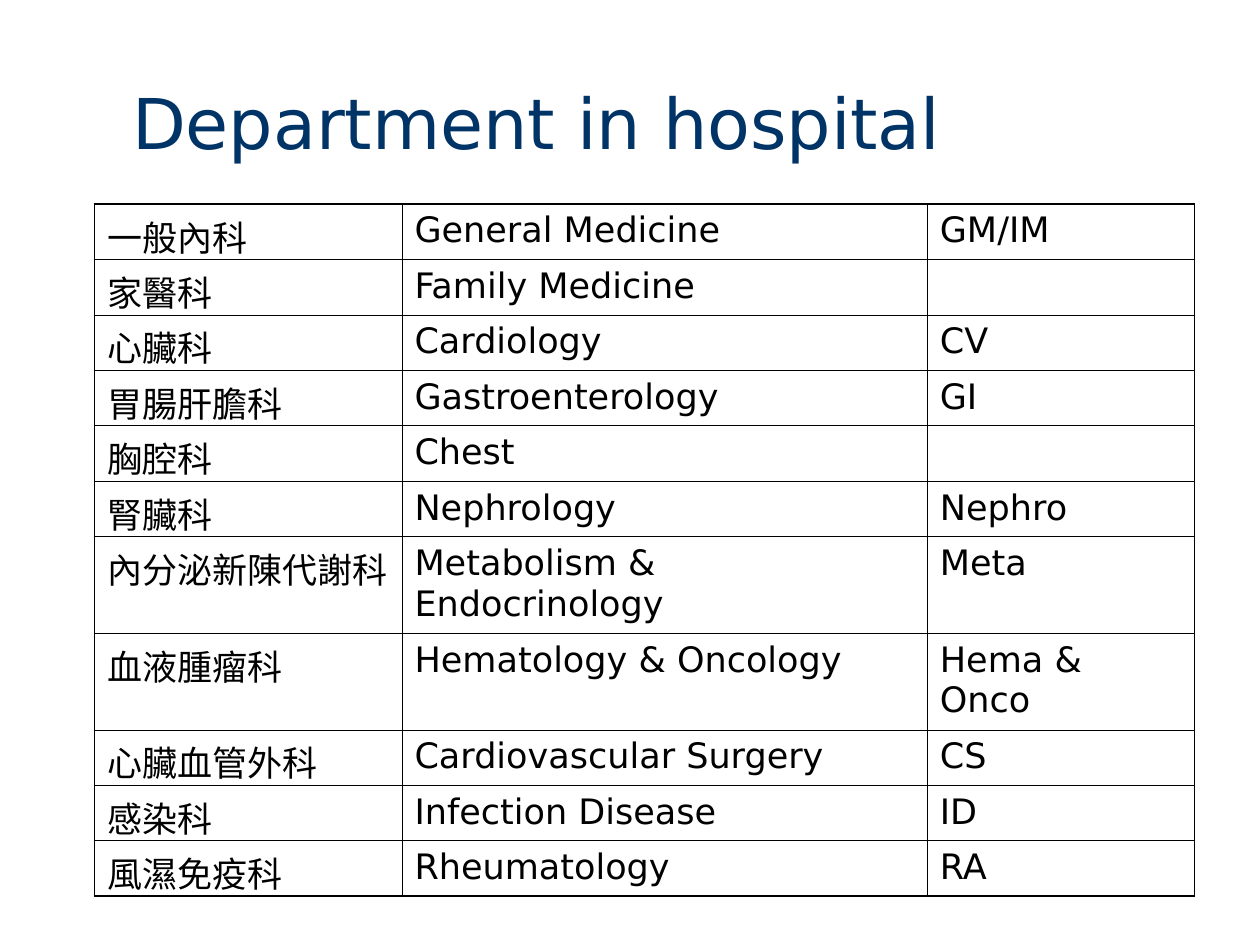
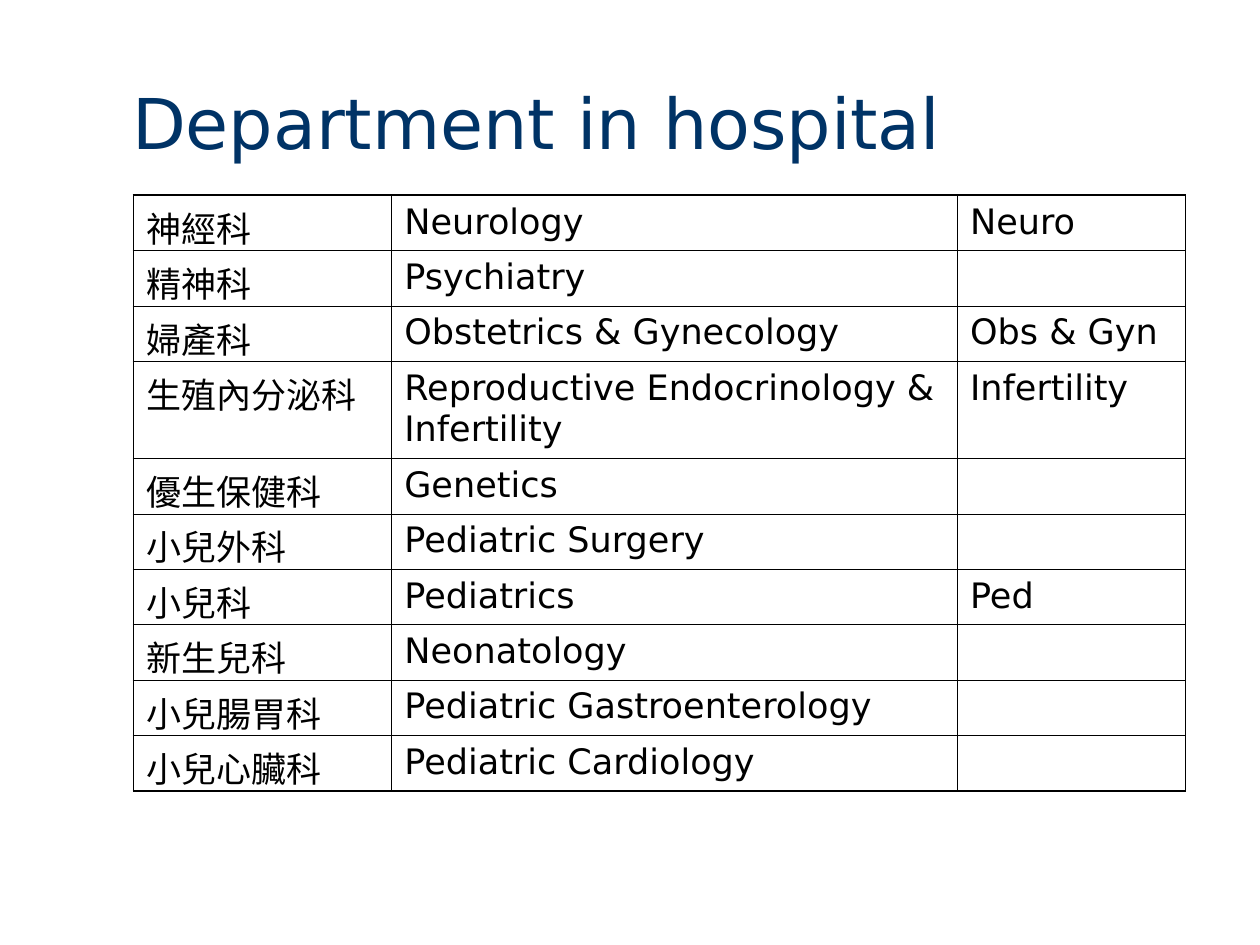
from lxml.etree import SubElement
from pptx import Presentation
from pptx.dml.color import RGBColor
from pptx.enum.text import MSO_ANCHOR
from pptx.oxml.ns import qn
from pptx.util import Inches, Pt

TITLE = "Department in hospital"
DEPARTMENT_PAGES = [
    {
        "left": 0.75, "top": 1.62, "columns": (2.44, 4.17, 2.12), "tall_rows": (),
        "departments": [
            ("一般內科", "General Medicine", "GM/IM"),
            ("家醫科", "Family Medicine", ""),
            ("心臟科", "Cardiology", "CV"),
            ("胃腸肝膽科", "Gastroenterology", "GI"),
            ("胸腔科", "Chest", ""),
            ("腎臟科", "Nephrology", "Nephro"),
            ("內分泌新陳代謝科", "Metabolism & Endocrinology", "Meta"),
            ("血液腫瘤科", "Hematology & Oncology", "Hema & Onco"),
            ("心臟血管外科", "Cardiovascular Surgery", "CS"),
            ("感染科", "Infection Disease", "ID"),
            ("風濕免疫科", "Rheumatology", "RA"),
        ],
    },
    {
        "left": 1.06, "top": 1.55, "columns": (2.05, 4.49, 1.81), "tall_rows": (3,),
        "departments": [
            ("神經科", "Neurology", "Neuro"),
            ("精神科", "Psychiatry", ""),
            ("婦產科", "Obstetrics & Gynecology", "Obs & Gyn"),
            ("生殖內分泌科", "Reproductive Endocrinology & Infertility", "Infertility"),
            ("優生保健科", "Genetics", ""),
            ("小兒外科", "Pediatric Surgery", ""),
            ("小兒科", "Pediatrics", "Ped"),
            ("新生兒科", "Neonatology", ""),
            ("小兒腸胃科", "Pediatric Gastroenterology", ""),
            ("小兒心臟科", "Pediatric Cardiology", ""),
        ],
    },
]

COLORS = {"title": "003366", "text": "000000", "border": "000000"}
FONT = "DejaVu Sans"
ROW_HEIGHT, TALL_ROW_HEIGHT = 0.44, 0.77
OUTER_BORDER, INNER_BORDER = Pt(1.08), Pt(0.45)


def add_run(paragraph, text, size, color):
    run = paragraph.add_run()
    run.text = text
    run.font.name = FONT
    run.font.size = Pt(size)
    run.font.color.rgb = RGBColor.from_string(COLORS[color])


def add_title(slide):
    frame = slide.shapes.add_textbox(
        Inches(0.95), Inches(0.58), Inches(8.93), Inches(0.77)).text_frame
    frame.word_wrap = True
    frame.vertical_anchor = MSO_ANCHOR.BOTTOM
    add_run(frame.paragraphs[0], TITLE, 40, "title")


def set_borders(cell, outer_sides):
    """Draw all four cell borders, heavier on the table's outer sides."""
    properties = cell._tc.get_or_add_tcPr()
    for position, side in enumerate("LRTB"):
        width = OUTER_BORDER if side in outer_sides else INNER_BORDER
        line = SubElement(properties, qn(f"a:ln{side}"), w=str(int(width)))
        fill = SubElement(line, qn("a:solidFill"))
        SubElement(fill, qn("a:srgbClr"), val=COLORS["border"])
        properties.insert(position, line)


def add_department_table(slide, page):
    departments, columns = page["departments"], page["columns"]
    heights = [TALL_ROW_HEIGHT if row in page["tall_rows"] else ROW_HEIGHT
               for row in range(len(departments))]
    table = slide.shapes.add_table(
        len(departments), len(columns), Inches(page["left"]), Inches(page["top"]),
        Inches(sum(columns)), Inches(sum(heights))).table
    table.first_row = table.horz_banding = False
    for column, width in zip(table.columns, columns):
        column.width = Inches(width)
    for row, height in zip(table.rows, heights):
        row.height = Inches(height)

    for r, department in enumerate(departments):
        for c, text in enumerate(department):
            cell = table.cell(r, c)
            cell.fill.background()
            edges = {"L": c == 0, "R": c == len(columns) - 1,
                     "T": r == 0, "B": r == len(departments) - 1}
            set_borders(cell, [side for side, outer in edges.items() if outer])
            if text:
                add_run(cell.text_frame.paragraphs[0], text, 20, "text")


def main():
    deck = Presentation()
    deck.slide_width, deck.slide_height = Inches(10), Inches(7.5)
    for page in DEPARTMENT_PAGES:
        slide = deck.slides.add_slide(deck.slide_layouts[6])
        add_title(slide)
        add_department_table(slide, page)
    deck.save("out.pptx")


if __name__ == "__main__":
    main()
